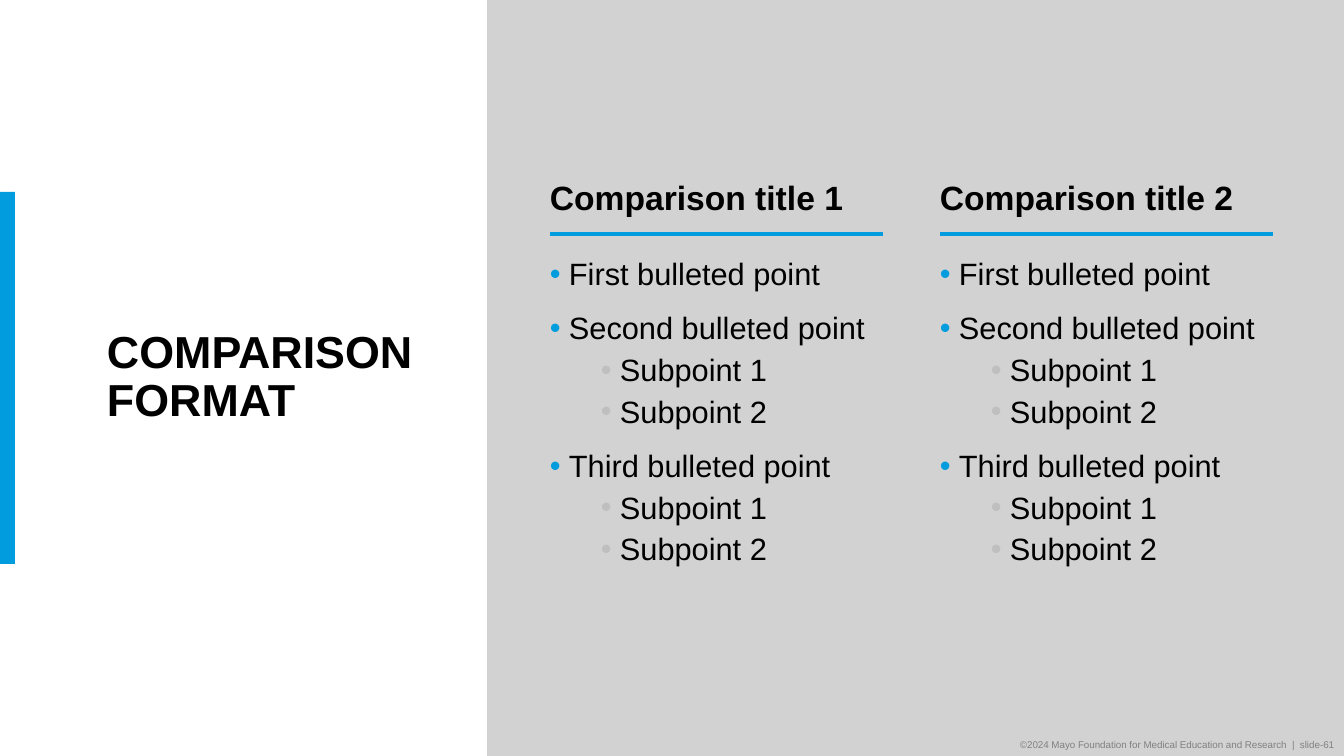
"""Build a slide that compares two bulleted columns beside a title."""
from lxml.etree import SubElement
from pptx import Presentation
from pptx.dml.color import RGBColor
from pptx.enum.shapes import MSO_CONNECTOR, MSO_SHAPE
from pptx.enum.text import MSO_ANCHOR, PP_ALIGN
from pptx.oxml.ns import qn
from pptx.util import Pt

TITLE = "COMPARISON FORMAT"
POINTS = [
    (0, "First bulleted point"),
    (0, "Second bulleted point"),
    (1, "Subpoint 1"),
    (1, "Subpoint 2"),
    (0, "Third bulleted point"),
    (1, "Subpoint 1"),
    (1, "Subpoint 2"),
]
COLUMNS = [("Comparison title 1", POINTS), ("Comparison title 2", POINTS)]
FOOTER = "©2024 Mayo Foundation for Medical Education and Research  |  slide-61"

COLORS = {"panel": "D2D2D2", "blue": "009CDE", "black": "000000",
          "foot": "808080", "sub": "BFBFBF"}
FONTS = {
    "title": {"size": Pt(32), "bold": True},
    "head": {"size": Pt(24), "bold": True},
    "point": {"size": Pt(22), "bold": False},
    "foot": {"size": Pt(7), "bold": False},
}
LEVELS = [
    {"left": 19, "before": 15, "color": "blue"},
    {"left": 70, "before": 6, "color": "sub"},
]
HANG = 19
WIDE, HIGH = 1344, 756
SPLIT = 487
COL_LEFT, COL_STEP, COL_WIDE = 550, 390, 347
RULE_TOP, RULE_WIDE = 234, 333
SCALE = 12192000 / WIDE


def px(size):
    return round(size * SCALE)


def rgb(name):
    return RGBColor.from_string(COLORS[name])


def set_all(item, values):
    for key, value in values.items():
        setattr(item, key, value)


def add_bar(slide, box, color):
    bar = slide.shapes.add_shape(MSO_SHAPE.RECTANGLE, *map(px, box))
    bar.shadow.inherit = False
    bar.fill.solid()
    bar.fill.fore_color.rgb = rgb(color)
    bar.line.fill.background()


def set_frame(frame, anchor, pads=(0, 0, 0, 0)):
    sides = ("margin_left", "margin_top", "margin_right", "margin_bottom")
    set_all(frame, {"word_wrap": True, "vertical_anchor": anchor})
    set_all(frame, dict(zip(sides, map(px, pads))))


def write(para, text, font, color="black", align=PP_ALIGN.LEFT, space=0.9):
    set_all(para, {"alignment": align, "line_spacing": space})
    run = para.add_run()
    run.text = text
    set_all(run.font, {"name": "Arial", **FONTS[font]})
    run.font.color.rgb = rgb(color)


def add_text(slide, box, anchor, pads=(0, 0, 0, 0)):
    frame = slide.shapes.add_textbox(*map(px, box)).text_frame
    set_frame(frame, anchor, pads)
    return frame


def add_bullet(para, level):
    style = LEVELS[level]
    para.level = level
    props = para._p.get_or_add_pPr()
    props.set("marL", str(px(style["left"])))
    props.set("indent", str(-px(HANG)))
    color = SubElement(props, qn("a:buClr"))
    SubElement(color, qn("a:srgbClr"), val=COLORS[style["color"]])
    SubElement(props, qn("a:buFont"), typeface="Arial")
    SubElement(props, qn("a:buChar"), char="•")


def add_column(slide, left, head, points):
    frame = add_text(slide, (left, 133, COL_WIDE, 85), MSO_ANCHOR.BOTTOM)
    write(frame.paragraphs[0], head, "head")
    body = add_text(slide, (left, 249, COL_WIDE, 439), MSO_ANCHOR.TOP,
                    (0, 10, 0, 5))
    for i, (level, text) in enumerate(points):
        para = body.add_paragraph() if i else body.paragraphs[0]
        add_bullet(para, level)
        if i:
            para.space_before = Pt(LEVELS[level]["before"])
        write(para, text, "point")
    ends = (left, RULE_TOP, left + RULE_WIDE, RULE_TOP)
    rule = slide.shapes.add_connector(MSO_CONNECTOR.STRAIGHT, *map(px, ends))
    rule.line.color.rgb = rgb("blue")
    rule.line.width = Pt(3)
    SubElement(rule._element.spPr, qn("a:effectLst"))


def main():
    deck = Presentation()
    set_all(deck, {"slide_width": px(WIDE), "slide_height": px(HIGH)})
    slide = deck.slides.add_slide(deck.slide_layouts[5])
    add_bar(slide, (SPLIT, 0, WIDE - SPLIT, HIGH), "panel")
    add_bar(slide, (0, 192, 15, 372), "blue")
    foot = add_text(slide, (739, 734, 605, 22), MSO_ANCHOR.MIDDLE,
                    (10, 5, 10, 5))
    write(foot.paragraphs[0], FOOTER, "foot", "foot", PP_ALIGN.RIGHT, 1.0)

    title = slide.shapes.title
    box = zip(("left", "top", "width", "height"), (107, 261, 339, 234))
    set_all(title, {side: px(size) for side, size in box})
    set_frame(title.text_frame, MSO_ANCHOR.MIDDLE)
    write(title.text_frame.paragraphs[0], TITLE, "title")

    for i, (head, points) in enumerate(COLUMNS):
        add_column(slide, COL_LEFT + i * COL_STEP, head, points)
    deck.save("out.pptx")


if __name__ == "__main__":
    main()
